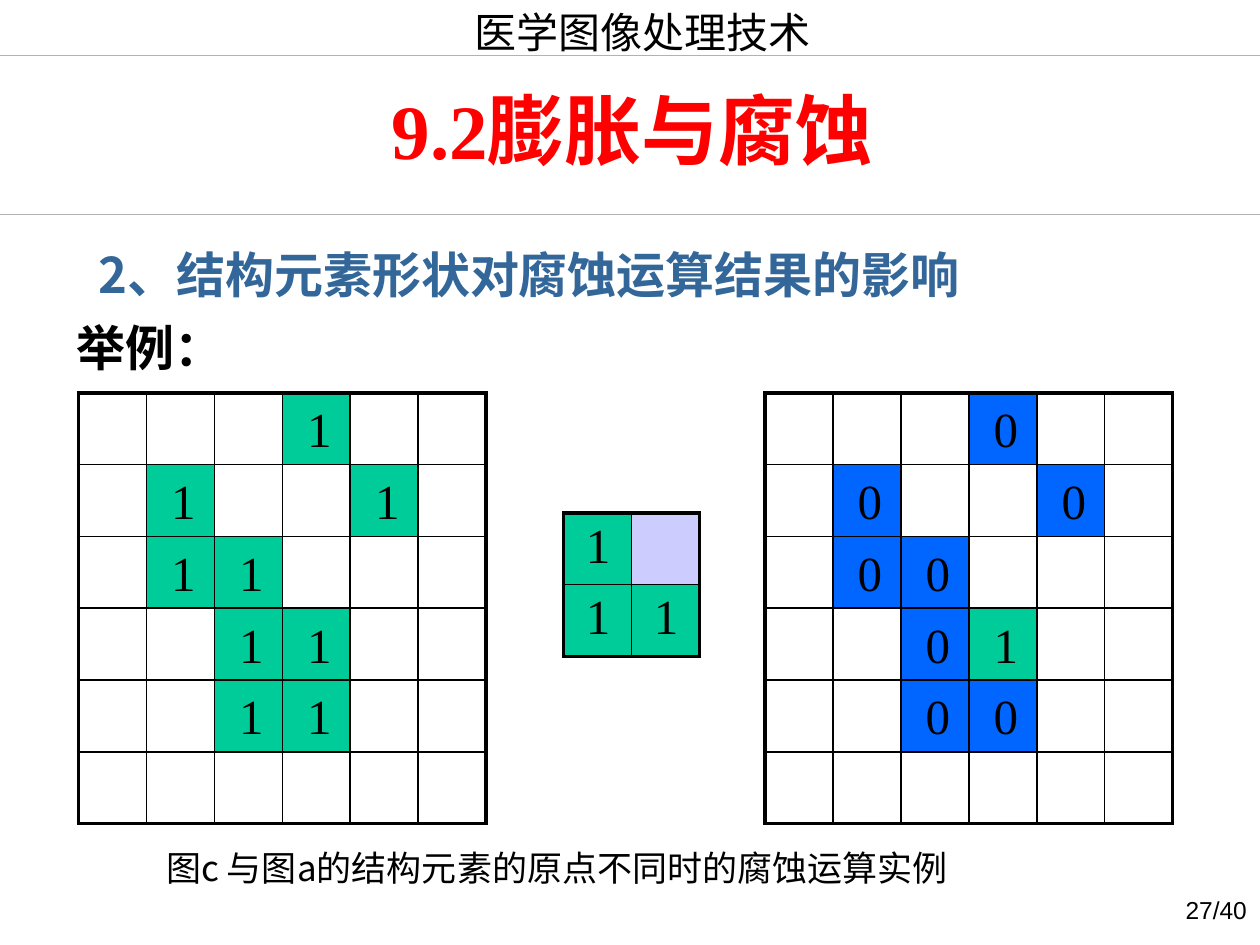
from dataclasses import dataclass

from lxml import etree
from pptx import Presentation
from pptx.dml.color import RGBColor
from pptx.enum.shapes import MSO_CONNECTOR
from pptx.enum.text import MSO_ANCHOR, PP_ALIGN
from pptx.oxml.ns import qn
from pptx.util import Cm, Pt

STRAIGHT = MSO_CONNECTOR.STRAIGHT
TOP, MIDDLE, BOTTOM = MSO_ANCHOR.TOP, MSO_ANCHOR.MIDDLE, MSO_ANCHOR.BOTTOM
LEFT, CENTER = PP_ALIGN.LEFT, PP_ALIGN.CENTER


@dataclass(frozen=True)
class Theme:
    black: str = "000000"
    red: str = "FF0000"
    steel: str = "336699"
    rule: str = "B2B2B2"
    shadow: str = "C0C0C0"
    green: str = "00CC99"
    blue: str = "0066FF"
    lilac: str = "CCCCFF"
    serif: str = "Times New Roman"
    sans: str = "Arial"
    header: str = "DejaVu Sans"
    cjk: str = "Noto Sans CJK SC"
    title_size: int = 44
    body_size: int = 28
    header_size: int = 24
    caption_size: int = 20
    page_size: int = 14
    outer_line: float = 2.25
    inner_line: float = 1
    rule_line: float = 0.25


theme = Theme()


def style_paragraph(paragraph, font, size, color, bold=False, indent=0):
    for run in paragraph.runs:
        run.font.name = font
        run.font.size = Pt(size)
        run.font.bold = bold
        run.font.color.rgb = RGBColor.from_string(color)
        east_asian = etree.SubElement(run.font._element, qn("a:ea"))
        east_asian.set("typeface", theme.cjk)
    properties = paragraph._p.get_or_add_pPr()
    properties.set("marL", str(Cm(indent)))
    properties.set("indent", "0")


def add_text(box, lines, font, size, bold=False, align=LEFT, anchor=TOP, wrap=True):
    frame = slide.shapes.add_textbox(*(Cm(length) for length in box)).text_frame
    frame.word_wrap = wrap
    frame.vertical_anchor = anchor
    frame.text = "\n".join(line[0] for line in lines)
    for paragraph, (_, color, indent) in zip(frame.paragraphs, lines):
        paragraph.alignment = align
        style_paragraph(paragraph, font, size, color, bold, indent)
    return frame


presentation = Presentation()
presentation.slide_width = Cm(25.4)
presentation.slide_height = Cm(19.05)
slide = presentation.slides.add_slide(presentation.slide_layouts[6])

course = add_text((8.71, 0, 9.7, 1.27), [("医学图像处理技术", theme.black, 0.6)],
                  theme.header, theme.header_size)
course_font = course.paragraphs[0].runs[0].font._element
effects = etree.Element(qn("a:effectLst"))
course_font.find(qn("a:solidFill")).addnext(effects)
shadow = etree.SubElement(effects, qn("a:outerShdw"), dist="38100", dir="2700000")
etree.SubElement(shadow, qn("a:srgbClr"), val=theme.shadow)

for rule_top in (4.32, 1.12):
    rule = slide.shapes.add_connector(STRAIGHT, Cm(25.4), Cm(rule_top), 0, Cm(rule_top))
    rule.line.color.rgb = RGBColor.from_string(theme.rule)
    rule.line.width = Pt(theme.rule_line)
    etree.SubElement(rule._element.spPr, qn("a:effectLst"))

add_text((23.65, 17.91, 1.75, 0.86), [("27/40", theme.black, 0)],
         theme.sans, theme.page_size, wrap=False)

source_grid = ["...1..", ".1..1.", ".11...", "..11..", "..11..", "......"]
structuring_element = ["1x", "11"]
eroded_grid = ["...0..", ".0..0.", ".00...", "..01..", "..00..", "......"]
fills = {"1": theme.green, "0": theme.blue, "x": theme.lilac}
column_width, row_height = 1.37, 1.44

for grid, left, top, inset, anchor in (
    (source_grid, 1.58, 7.92, 0.25, BOTTOM),
    (structuring_element, 11.36, 10.34, 0.2, TOP),
    (eroded_grid, 15.42, 7.92, 0.25, BOTTOM),
):
    count = len(grid)
    table = slide.shapes.add_table(
        count, count, Cm(left), Cm(top),
        Cm(column_width * count), Cm(row_height * count)).table
    table.first_row = table.horz_banding = False
    for column in table.columns:
        column.width = Cm(column_width)
    for row in table.rows:
        row.height = Cm(row_height)
    for row_index, marks in enumerate(grid):
        for column_index, mark in enumerate(marks):
            cell = table.cell(row_index, column_index)
            cell.margin_left = cell.margin_right = Cm(inset)
            cell.margin_top = cell.margin_bottom = Cm(0.13)
            cell.vertical_anchor = anchor
            on_edge = {
                "a:lnL": column_index == 0,
                "a:lnR": column_index == count - 1,
                "a:lnT": row_index == 0,
                "a:lnB": row_index == count - 1,
            }
            for side, outer in on_edge.items():
                width = Pt(theme.outer_line if outer else theme.inner_line)
                border = etree.SubElement(cell._tc.get_or_add_tcPr(), qn(side), w=str(width))
                stroke = etree.SubElement(border, qn("a:solidFill"))
                etree.SubElement(stroke, qn("a:srgbClr"), val=theme.black)
            if mark in fills:
                cell.fill.solid()
                cell.fill.fore_color.rgb = RGBColor.from_string(fills[mark])
            else:
                cell.fill.background()
            if mark.isdigit():
                cell.text_frame.text = mark
                style_paragraph(cell.text_frame.paragraphs[0], theme.serif,
                                theme.body_size, theme.black, indent=0.25)

add_text((3.1, 16.94, 20.32, 1.12),
         [("图c 与图a的结构元素的原点不同时的腐蚀运算实例", theme.black, 0)],
         theme.cjk, theme.caption_size)

section = add_text((1.3, 4.5, 23.39, 3.25),
                   [("2、结构元素形状对腐蚀运算结果的影响", theme.steel, 0.44),
                    ("举例：", theme.black, 0)],
                   theme.cjk, theme.body_size, bold=True)
for paragraph in section.paragraphs:
    paragraph.line_spacing = 1.25

add_text((1.32, 1.5, 22.86, 2.21), [("9.2膨胀与腐蚀", theme.red, 0)],
         theme.serif, theme.title_size, bold=True, align=CENTER, anchor=MIDDLE)

presentation.save("out.pptx")
